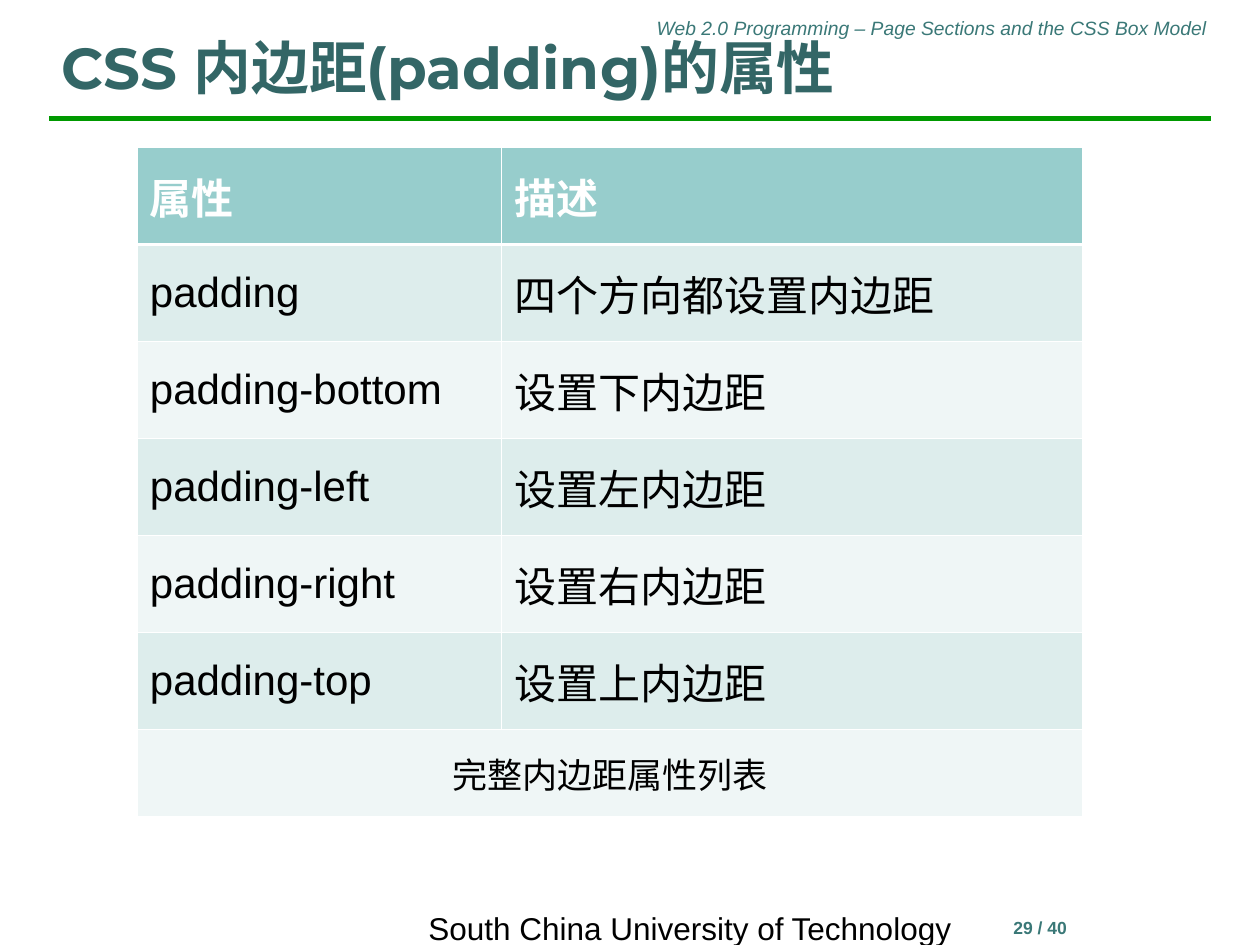
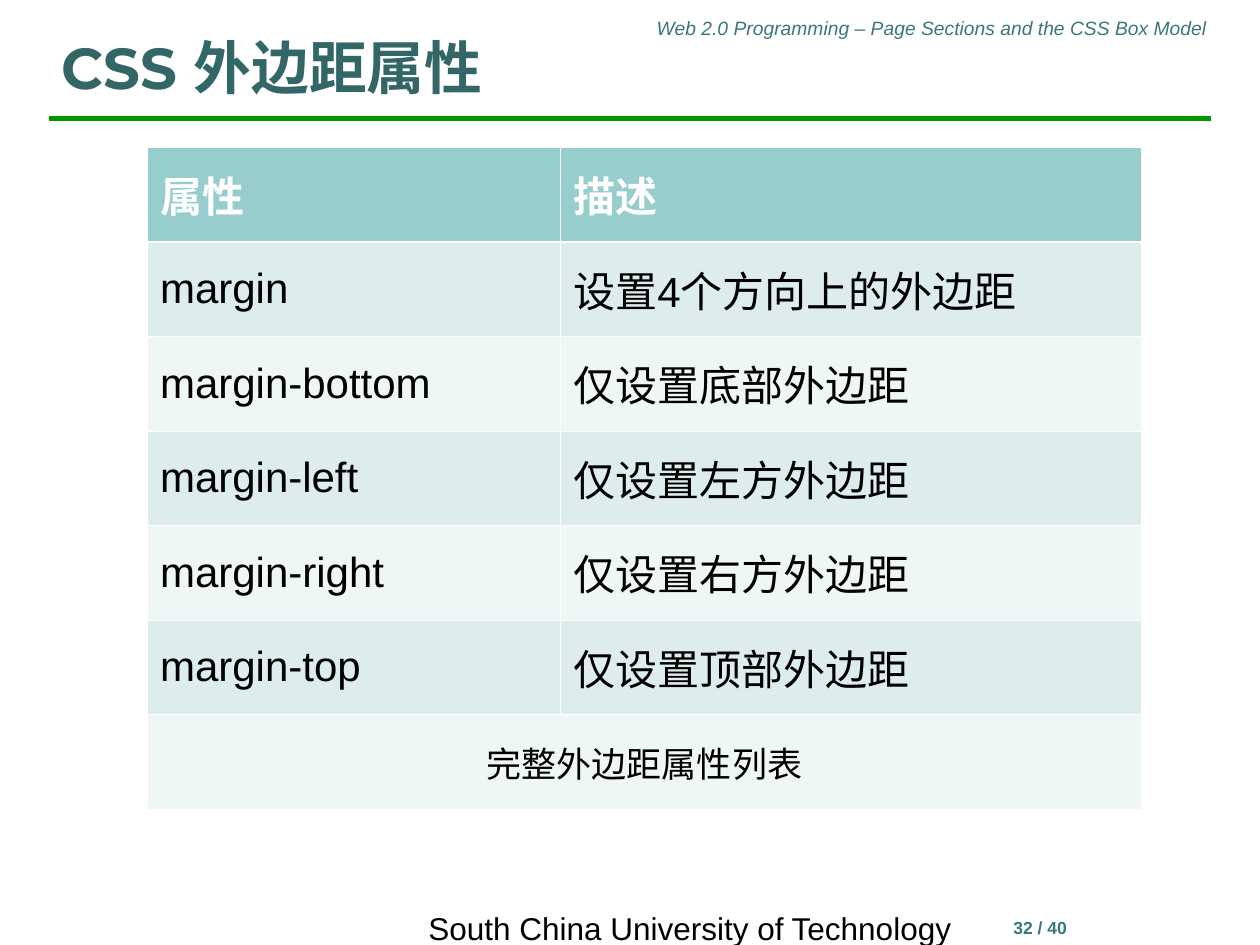
from lxml import etree
from pptx import Presentation
from pptx import util as u
from pptx.dml.color import RGBColor
from pptx.enum import lang, shapes, text
from pptx.oxml import ns

COURSE = "Web 2.0 Programming – Page Sections and the CSS Box Model"
SCHOOL = "South China University of Technology"
PAGE_COUNT = 40
HEADINGS = ("属性", "描述")

SLIDES = [
    {
        "title": "CSS 内边距(padding)的属性",
        "page": 29,
        "rows": [
            ("padding", "四个方向都设置内边距"),
            ("padding-bottom", "设置下内边距"),
            ("padding-left", "设置左内边距"),
            ("padding-right", "设置右内边距"),
            ("padding-top", "设置上内边距"),
        ],
        "caption": "完整内边距属性列表",
        "left": 1.09,
        "columns": (2.89, 4.61),
        "row_height": 0.77,
        "caption_height": 0.69,
    },
    {
        "title": "CSS 外边距属性",
        "page": 32,
        "rows": [
            ("margin", "设置4个方向上的外边距"),
            ("margin-bottom", "仅设置底部外边距"),
            ("margin-left", "仅设置左方外边距"),
            ("margin-right", "仅设置右方外边距"),
            ("margin-top", "仅设置顶部外边距"),
        ],
        "caption": "完整外边距属性列表",
        "left": 1.17,
        "columns": (3.28, 4.61),
        "row_height": 0.75,
        "caption_height": 0.75,
    },
]


class Theme:
    rule = "009900"
    header_fill = "97CDCC"
    bands = ("DDEDEC", "EFF6F6")
    border = "FFFFFF"
    thin, thick = 0.45, 1.47
    table_top = 1.17
    title = {"name": "Montserrat", "size": 33, "color": "336666", "bold": True}
    course = {"name": "Arial", "size": 11, "color": "3A7877", "italic": True}
    page = {"name": "Arial", "size": 10, "color": "3A7877", "bold": True}
    school = {"name": "Arial", "size": 18, "color": "000000"}
    heading = {"name": "Arial", "size": 24, "color": "FFFFFF", "bold": True}
    body = {"name": "Arial", "size": 24, "color": "000000", "bold": False}
    caption = {**body, "size": 20}


ALIGN = text.PP_ALIGN
ANCHOR = text.MSO_ANCHOR


def write(frame, content, style, align=ALIGN.LEFT):
    paragraph = frame.paragraphs[0]
    paragraph.alignment = align
    run = paragraph.add_run()
    run.text = content
    if not content.isascii():
        run.font.language_id = lang.MSO_LANGUAGE_ID.SIMPLIFIED_CHINESE
    for name, value in style.items():
        if name == "color":
            run.font.color.rgb = RGBColor.from_string(value)
        else:
            setattr(run.font, name, u.Pt(value) if name == "size" else value)


def add_text(slide, box, content, style, align=ALIGN.LEFT, anchor=ANCHOR.TOP):
    frame = slide.shapes.add_textbox(*map(u.Inches, box)).text_frame
    frame.word_wrap = True
    frame.vertical_anchor = anchor
    write(frame, content, style, align)


def add_frame(slide, title, page):
    rule = slide.shapes.add_connector(
        shapes.MSO_CONNECTOR.STRAIGHT, *map(u.Inches, (0.39, 0.94, 9.61, 0.94))
    )
    rule.line.color.rgb = RGBColor.from_string(Theme.rule)
    rule.line.width = u.Pt(3)
    etree.SubElement(rule._element.spPr, ns.qn("a:effectLst"))
    add_text(slide, (4.84, 0.08, 4.84, 0.29), COURSE, Theme.course, ALIGN.RIGHT)
    add_text(slide, (7.13, 7.23, 2.25, 0.5), f"{page} / {PAGE_COUNT}",
             Theme.page, ALIGN.CENTER)
    add_text(slide, (3.19, 7.23, 4.57, 0.27), SCHOOL, Theme.school,
             ALIGN.CENTER, ANCHOR.MIDDLE)
    add_text(slide, (0.39, 0.15, 9.22, 0.7), title, Theme.title,
             anchor=ANCHOR.BOTTOM)


def set_borders(cell, widths):
    properties = cell._tc.get_or_add_tcPr()
    for position, (side, width) in enumerate(widths.items()):
        line = etree.Element(ns.qn(f"a:ln{side}"), w=str(u.Pt(width)))
        fill = etree.SubElement(line, ns.qn("a:solidFill"))
        etree.SubElement(fill, ns.qn("a:srgbClr"), val=Theme.border)
        properties.insert(position, line)


def format_cell(cell, row):
    cell.vertical_anchor = ANCHOR.MIDDLE
    cell.fill.solid()
    color = Theme.bands[(row - 1) % 2] if row else Theme.header_fill
    cell.fill.fore_color.rgb = RGBColor.from_string(color)
    set_borders(cell, {
        "L": Theme.thin,
        "R": Theme.thin,
        "T": Theme.thick if row == 1 else Theme.thin,
        "B": Theme.thick if row == 0 else Theme.thin,
    })


def add_property_table(slide, data):
    records = [HEADINGS, *data["rows"], (data["caption"],)]
    heights = [data["row_height"]] * (len(records) - 1) + [data["caption_height"]]
    box = (data["left"], Theme.table_top, sum(data["columns"]), sum(heights))
    table = slide.shapes.add_table(
        len(records), len(HEADINGS), *map(u.Inches, box)
    ).table
    for column, width in zip(table.columns, data["columns"]):
        column.width = u.Inches(width)
    last = len(records) - 1
    table.cell(last, 0).merge(table.cell(last, 1))
    for index, (record, height) in enumerate(zip(records, heights)):
        table.rows[index].height = u.Inches(height)
        for cell in table.rows[index].cells:
            format_cell(cell, index)
        style = {0: Theme.heading, last: Theme.caption}.get(index, Theme.body)
        align = ALIGN.CENTER if index == last else ALIGN.LEFT
        for column, content in enumerate(record):
            write(table.cell(index, column).text_frame, content, style, align)


def main():
    presentation = Presentation()
    presentation.slide_width = u.Inches(10)
    presentation.slide_height = u.Inches(7.5)
    for data in SLIDES:
        slide = presentation.slides.add_slide(presentation.slide_layouts[6])
        add_frame(slide, data["title"], data["page"])
        add_property_table(slide, data)
    presentation.save("out.pptx")


if __name__ == "__main__":
    main()
